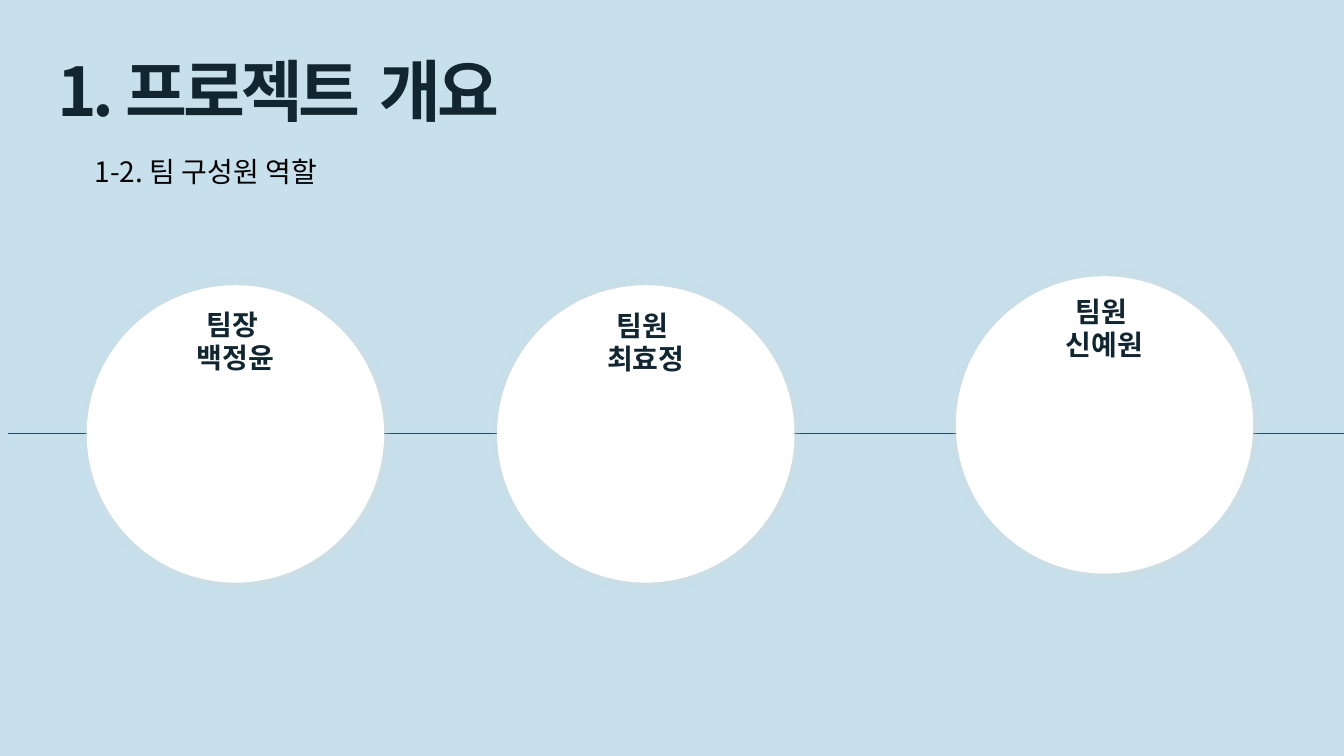
"""Build the project overview slide that presents the team members."""
from lxml import etree
from pptx import Presentation
from pptx.dml.color import RGBColor
from pptx.enum import shapes, text
from pptx.oxml import parse_xml
from pptx.oxml.ns import nsdecls, qn
from pptx.util import Inches, Pt

FONT = "Noto Sans CJK KR"
SKY = RGBColor(0xC7, 0xE0, 0xEB)
INK = RGBColor(0x11, 0x26, 0x30)
LINE = RGBColor(0x22, 0x4D, 0x60)
BLACK = RGBColor(0, 0, 0)
WHITE = RGBColor(0xFF, 0xFF, 0xFF)
SHADOW = RGBColor(0xD9, 0xD9, 0xD9)
DIAMETER = 2.95
LABEL_WIDTH = 1.73


def add_span(para, words, size, color, bold=False):
    span = para.add_run()
    span.text = words
    span.font.size = Pt(size)
    span.font.bold = bold
    span.font.name = FONT
    span.font.color.rgb = color
    etree.SubElement(span.font._element, qn("a:ea")).set("typeface", FONT)
    return span


def add_box(left, top, width, height):
    box = page.shapes.add_textbox(Inches(left), Inches(top), Inches(width), Inches(height))
    box.text_frame.word_wrap = True
    return box.text_frame


deck = Presentation()
deck.slide_width = Inches(13.33)
deck.slide_height = Inches(7.5)
page = deck.slides.add_slide(deck.slide_layouts[5])
page.background.fill.solid()
page.background.fill.fore_color.rgb = SKY

title = page.shapes.title
title.left, title.top = Inches(0.47), Inches(0.27)
title.width, title.height = Inches(5.35), Inches(1.11)
frame = title.text_frame
frame.word_wrap = True
frame.auto_size = text.MSO_AUTO_SIZE.NONE
frame.vertical_anchor = text.MSO_ANCHOR.TOP
frame.paragraphs[0].alignment = text.PP_ALIGN.LEFT
for words, size in [("1. 프로젝트", 48), (" ", 60), ("개요", 48)]:
    span = add_span(frame.paragraphs[0], words, size, INK, bold=True)
    span.font._element.set("spc", "-300")

subtitle = add_box(0.84, 1.48, 3.07, 0.44)
add_span(subtitle.paragraphs[0], "1-2. 팀 구성원 역할", 20, BLACK)

timeline = page.shapes.add_connector(
    shapes.MSO_CONNECTOR.STRAIGHT, Inches(0.08), Inches(4.3), Inches(13.41), Inches(4.3))
timeline.line.color.rgb = LINE
timeline.line.width = Pt(0.5)
etree.SubElement(timeline._element.spPr, qn("a:effectLst"))

members = [
    ("팀장 ", "백정윤", 0.86, 2.83, 3),
    ("팀원 ", "최효정", 4.93, 2.83, 3.01),
    ("팀원 ", "신예원", 9.48, 2.74, 2.87),
]
for role, name, left, top, label_top in members:
    circle = page.shapes.add_shape(
        shapes.MSO_SHAPE.OVAL, Inches(left), Inches(top), Inches(DIAMETER), Inches(DIAMETER))
    circle.fill.solid()
    circle.fill.fore_color.rgb = WHITE
    circle.line.fill.background()
    circle._element.spPr.append(parse_xml(
        f'<a:effectLst {nsdecls("a")}>'
        f'<a:outerShdw blurRad="{Pt(6)}" dist="{Pt(1)}" dir="2700000" rotWithShape="0">'
        f'<a:srgbClr val="{SHADOW}"><a:alpha val="60000"/></a:srgbClr>'
        '</a:outerShdw></a:effectLst>'))

    label = add_box(left + (DIAMETER - LABEL_WIDTH) / 2, label_top, LABEL_WIDTH, 0.77)
    for para, words in [(label.paragraphs[0], role), (label.add_paragraph(), name)]:
        para.alignment = text.PP_ALIGN.CENTER
        add_span(para, words, 20, INK, bold=True)

deck.save("out.pptx")
